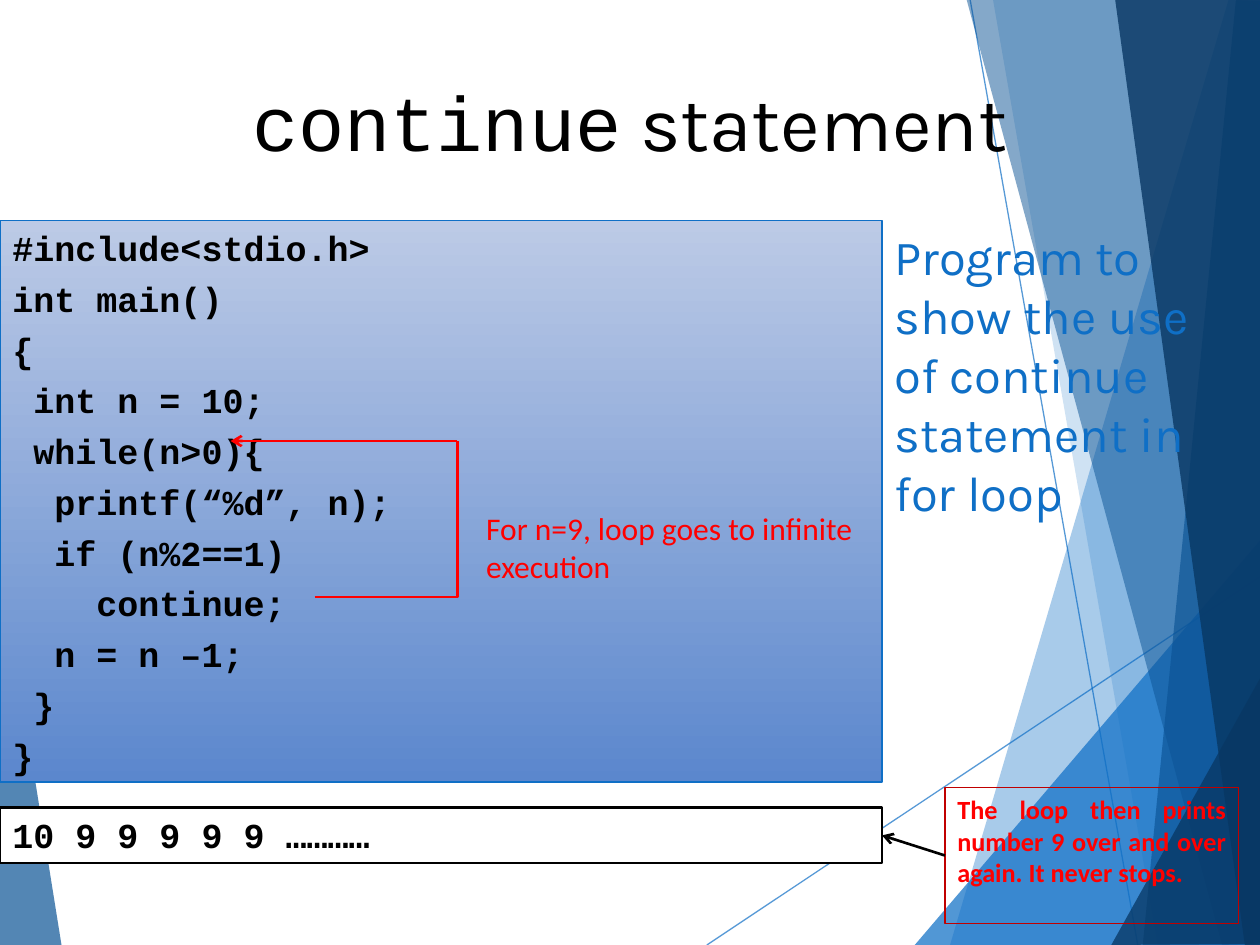
import pptx
import pptx.util
import pptx.dml.color
import pptx.enum.dml
import pptx.enum.shapes
import pptx.enum.text
import pptx.oxml
import pptx.oxml.ns
from lxml import etree

Inches = pptx.util.Inches
Pt = pptx.util.Pt
Align = pptx.enum.text.PP_ALIGN
Anchor = pptx.enum.text.MSO_ANCHOR
Connector = pptx.enum.shapes.MSO_CONNECTOR
qn = pptx.oxml.ns.qn

COLORS = {
    "blue": "0F6FC6",
    "deep": "0B5395",
    "navy": "083763",
    "code_top": "BCCAE6",
    "code_bottom": "5B87CD",
    "black": "000000",
    "white": "FFFFFF",
    "red": "FF0000",
    "dark_red": "C00000",
}

FACETS = [
    ("blue", 36, [(9.75, 0), (7.54, 7.5), (10.02, 7.51), (10.01, 0.01)]),
    ("blue", 20, [(7.88, -0.01), (9.19, 7.5), (10.01, 7.5), (10.01, -0.01)]),
    ("blue", 72, [(7.26, 7.5), (10, 4.29), (10.01, 7.5)]),
    ("deep", 50, [(7.67, -0.01), (9.7, 7.5), (10.01, 7.49), (10.01, -0.01)]),
    ("deep", 66, [(9.81, -0.01), (9.07, 7.5), (10.01, 7.5), (10, -0.01)]),
    ("navy", 80, [(8.85, -0.01), (9.88, 7.5), (10.02, 7.5), (10, -0.01)]),
    ("navy", 76, [(8.82, 7.5), (10.02, 5.35), (10.02, 7.49)]),
    ("deep", 70, [(-0.01, 4.39), (0.49, 7.51), (-0.01, 7.5)]),
]

CODE = """#include<stdio.h>
int main()
{
 int n = 10;
 while(n>0){
  printf(“%d”, n);
  if (n%2==1)
    continue;
  n = n –1;
 }
}"""

CODE_FONT = {"name": "Courier New", "size": Pt(20), "bold": True}


def color(name):
    return pptx.dml.color.RGBColor.from_string(COLORS[name])


def set_values(target, values):
    for name, value in values.items():
        setattr(target, name, value)


def set_alpha(fill_parent, percent):
    for color_element in fill_parent.iter(qn("a:srgbClr")):
        alpha = etree.SubElement(color_element, qn("a:alpha"))
        alpha.set("val", str(percent * 1000))


def add_facet(slide, color_name, opacity, points):
    corners = [(Inches(x), Inches(y)) for x, y in points]
    builder = slide.shapes.build_freeform(*corners[0], scale=1.0)
    builder.add_line_segments(corners[1:], close=True)
    shape = builder.convert_to_shape()
    shape.shadow.inherit = False
    shape.fill.solid()
    shape.fill.fore_color.rgb = color(color_name)
    set_alpha(shape.fill._xPr, opacity)
    shape.line.fill.background()


def add_line(slide, start, end, color_name, width, kind=Connector.STRAIGHT, arrow=False):
    connector = slide.shapes.add_connector(kind, *map(Inches, start + end))
    connector.line.width = Pt(width)
    connector.line.color.rgb = color(color_name)
    if arrow:
        etree.SubElement(connector.line._get_or_add_ln(), qn("a:tailEnd")).set("type", "arrow")
    etree.SubElement(connector._element.spPr, qn("a:effectLst"))
    return connector


def add_elbow(slide, start, end, color_name, width):
    connector = add_line(slide, start, end, color_name, width, Connector.ELBOW)
    adjustments = connector._element.spPr.find(qn("a:prstGeom")).get_or_add_avLst()
    guide = etree.SubElement(adjustments, qn("a:gd"))
    guide.set("name", "adj1")
    guide.set("fmla", "val 100000")


def add_box(slide, area, line_color, line_width, fill=None):
    shape = slide.shapes.add_shape(
        pptx.enum.shapes.MSO_SHAPE.RECTANGLE, *map(Inches, area))
    shape.shadow.inherit = False
    shape.line.color.rgb = color(line_color)
    shape.line.width = Pt(line_width)
    if fill is None:
        shape.fill.background()
    elif isinstance(fill, tuple):
        shape.fill.gradient()
        shape.fill.gradient_angle = 270
        for stop, name, position in zip(shape.fill.gradient_stops, fill, (0, 1)):
            stop.color.rgb = color(name)
            stop.position = position
    else:
        shape.fill.solid()
        shape.fill.fore_color.rgb = color(fill)
    return shape


def add_text_box(slide, area):
    return slide.shapes.add_textbox(*map(Inches, area))


def write(shape, lines, color_name, font, align=Align.LEFT, space=0,
          anchor=Anchor.TOP, wrap=True):
    frame = shape.text_frame
    set_values(frame, {"word_wrap": wrap, "vertical_anchor": anchor})
    for index, runs in enumerate(lines):
        paragraph = frame.paragraphs[0] if index == 0 else frame.add_paragraph()
        set_values(paragraph, {
            "alignment": align, "space_before": Pt(space if index else 0)})
        for text, changes in runs:
            run = paragraph.add_run()
            run.text = text
            set_values(run.font, {**font, **changes})
            run.font.color.rgb = color(color_name)


def plain(text):
    return [[(line, {})] for line in text.split("\n")]


def add_background(slide):
    for start, end in [((5.61, 7.5), (10.01, 4.57)), ((7.7, 0), (9.03, 7.5))]:
        line = add_line(slide, start, end, "blue", 0.75)
        set_alpha(line.line._get_or_add_ln(), 70)
    for facet in FACETS:
        add_facet(slide, *facet)


def add_program(slide):
    code = add_box(slide, (0, 1.75, 7, 4.46), "blue", 1, ("code_top", "code_bottom"))
    write(code, plain(CODE), "black", CODE_FONT, space=5)
    output = add_box(slide, (0, 6.41, 7, 0.44), "black", 1.5, "white")
    write(output, plain("10 9 9 9 9 9 …………"), "black", CODE_FONT)


def add_notes_on_loop(slide):
    remark = add_box(slide, (7.5, 6.25, 2.33, 1.08), "dark_red", 0.75)
    write(remark, plain("The loop then prints number 9 over and over again. It never stops."),
          "red", {"name": "Calibri", "size": Pt(15), "bold": True}, Align.JUSTIFY)
    add_line(slide, (7.5, 6.79), (7, 6.63), "black", 1.5, arrow=True)
    add_elbow(slide, (2.5, 4.74), (3.63, 3.5), "red", 1.5)
    add_line(slide, (3.63, 3.5), (1.83, 3.5), "red", 1.5, arrow=True)
    write(add_text_box(slide, (3.76, 3.99, 3.12, 0.7)),
          plain("For n=9, loop goes to infinite\nexecution"),
          "red", {"name": "Calibri", "size": Pt(18)}, wrap=False)


def add_headings(slide):
    title = [[("continue", {"name": "Courier New"}), (" statement", {})]]
    write(add_text_box(slide, (0.5, 0.33, 9, 1.25)), title, "black",
          {"name": "Karla", "size": Pt(44)}, Align.CENTER, anchor=Anchor.MIDDLE)
    write(add_text_box(slide, (7, 1.75, 2.58, 4.95)),
          plain("Program to show the use of continue statement in for loop"),
          "blue", {"name": "Karla", "size": Pt(28)})


def main():
    presentation = pptx.Presentation()
    set_values(presentation, {"slide_width": Inches(10), "slide_height": Inches(7.5)})
    slide = presentation.slides.add_slide(presentation.slide_layouts[6])
    add_background(slide)
    add_program(slide)
    add_headings(slide)
    add_notes_on_loop(slide)
    presentation.save("out.pptx")


if __name__ == "__main__":
    main()
